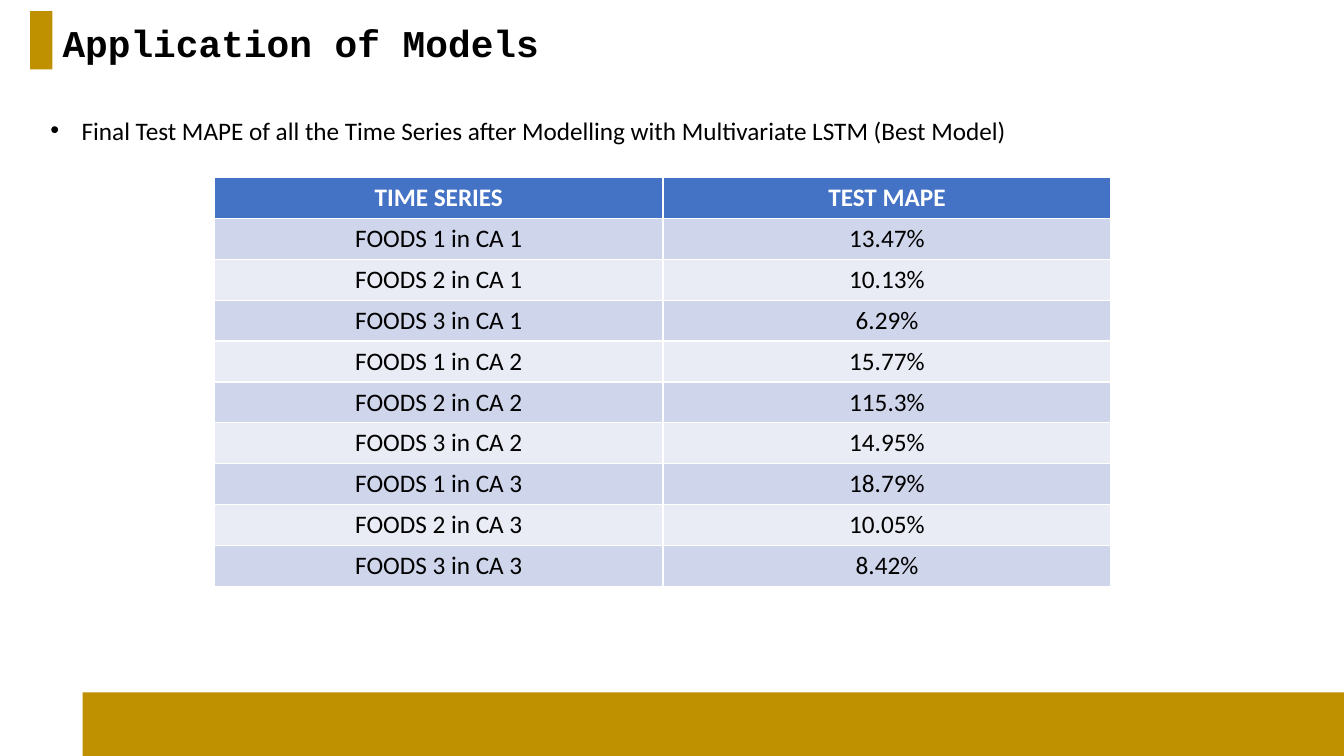
from dataclasses import dataclass
from lxml.etree import SubElement
from pptx import Presentation
from pptx.dml.color import RGBColor
from pptx.enum.shapes import MSO_SHAPE
from pptx.enum.text import MSO_ANCHOR, MSO_AUTO_SIZE, PP_ALIGN
from pptx.oxml.ns import qn
from pptx.util import Inches, Pt


@dataclass(frozen=True)
class Theme:
    gold: str = "BF9000"
    blue: str = "4472C4"
    bands: tuple = ("CFD5EA", "E9EBF5")
    black: str = "000000"
    white: str = "FFFFFF"
    head: str = "Courier New"
    body: str = "Calibri"
    large: int = 27
    base: int = 18


class Deck:
    def __init__(self, slide, theme):
        self.slide = slide
        self.theme = theme

    def style(self, para, font, size, color, bold=False):
        para.font.name = font
        para.font.size = Pt(size)
        para.font.bold = bold
        para.font.color.rgb = RGBColor.from_string(color)

    def place(self, shape, box, text):
        shape.left, shape.top, shape.width, shape.height = map(Inches, box)
        frame = shape.text_frame
        frame.text = text
        frame.word_wrap = True
        frame.auto_size = MSO_AUTO_SIZE.NONE
        frame.vertical_anchor = MSO_ANCHOR.TOP
        para = frame.paragraphs[0]
        para.alignment = PP_ALIGN.LEFT
        para.space_before = Pt(0)
        return para

    def bar(self, *box):
        shape = self.slide.shapes.add_shape(MSO_SHAPE.RECTANGLE, *map(Inches, box))
        shape.shadow.inherit = False
        shape.fill.solid()
        shape.fill.fore_color.rgb = RGBColor.from_string(self.theme.gold)
        shape.line.fill.background()

    def title(self, text, *box):
        para = self.place(self.slide.shapes.title, box, text)
        para.line_spacing = 0.9
        self.style(para, self.theme.head, self.theme.large, self.theme.black, True)

    def bullet(self, text, *box):
        para = self.place(self.slide.placeholders[1], box, text)
        self.style(para, self.theme.body, self.theme.base, self.theme.black)
        props = para._p.get_or_add_pPr()
        props.set("marL", str(Inches(0.31)))
        props.set("indent", str(-Inches(0.31)))
        SubElement(props, qn("a:buFont"), typeface="Arial")
        SubElement(props, qn("a:buChar"), char="•")

    def table(self, rows, *box):
        theme = self.theme
        frame = self.slide.shapes.add_table(len(rows), len(rows[0]), *map(Inches, box))
        for i, row in enumerate(rows):
            top = i == 0
            fill = theme.blue if top else theme.bands[(i - 1) % 2]
            for j, text in enumerate(row):
                cell = frame.table.cell(i, j)
                cell.text = text
                cell.fill.solid()
                cell.fill.fore_color.rgb = RGBColor.from_string(fill)
                para = cell.text_frame.paragraphs[0]
                para.alignment = PP_ALIGN.CENTER
                self.style(para, theme.body, theme.base,
                           theme.white if top else theme.black, top)


def main():
    show = Presentation()
    show.slide_width, show.slide_height = Inches(13.33), Inches(7.5)
    deck = Deck(show.slides.add_slide(show.slide_layouts[1]), Theme())

    deck.bar(0.82, 6.87, 12.51, 0.63)
    deck.bar(0.3, 0.11, 0.22, 0.58)
    deck.title("Application of Models", 0.52, 0.2, 12.8, 0.62)
    deck.bullet("Final Test MAPE of all the Time Series after Modelling "
                "with Multivariate LSTM (Best Model)", 0.4, 1.09, 9.8, 0.4)

    scores = ["13.47%", "10.13%", "6.29%", "15.77%", "115.3%",
              "14.95%", "18.79%", "10.05%", "8.42%"]
    rows = [(f"FOODS {i % 3 + 1} in CA {i // 3 + 1}", score)
            for i, score in enumerate(scores)]
    deck.table([("TIME SERIES", "TEST MAPE")] + rows, 2.13, 1.76, 8.89, 4.06)
    show.save("out.pptx")


if __name__ == "__main__":
    main()
